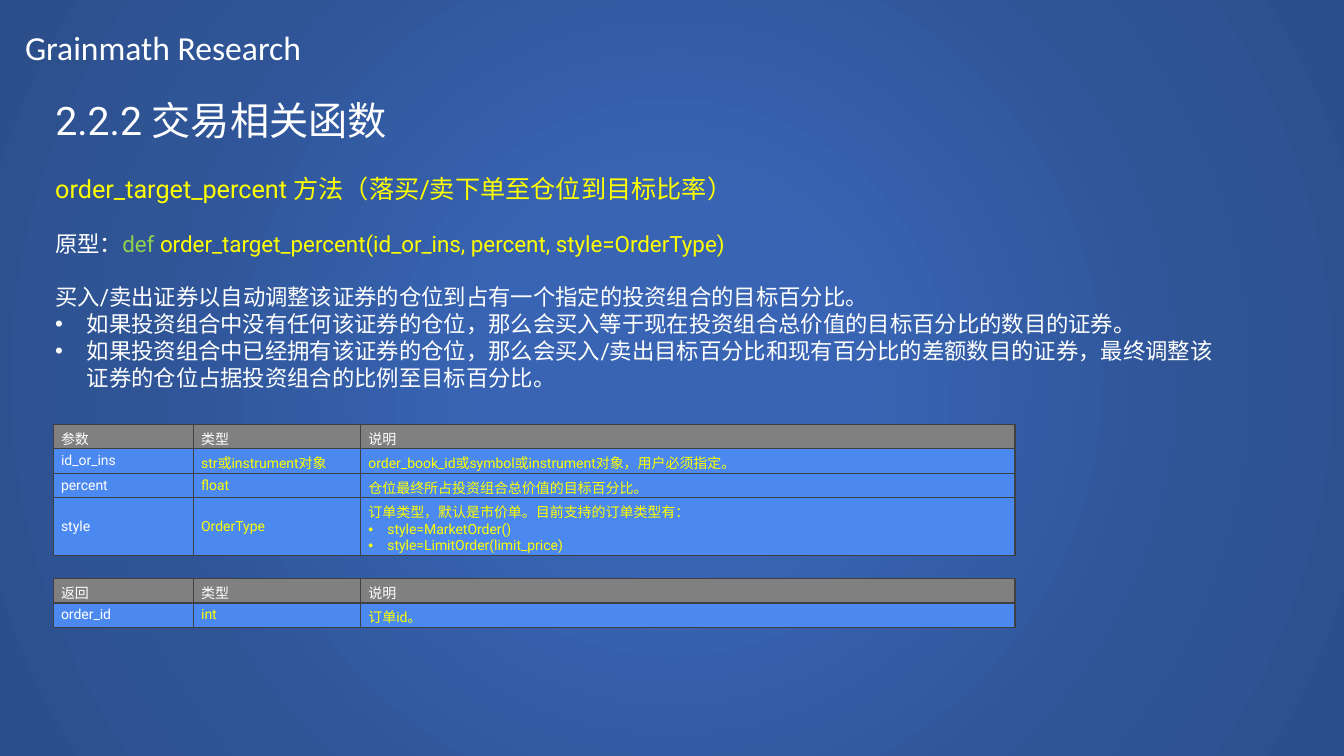
"""Build a slide on a portfolio order function, with parameter and return tables."""
from dataclasses import dataclass

from pptx import Presentation
from pptx.dml.color import RGBColor
from pptx.enum.shapes import MSO_SHAPE as Geom
from pptx.enum.text import MSO_ANCHOR as Anchor, MSO_AUTO_SIZE as Auto, PP_ALIGN as Align
from pptx.oxml import parse_xml
from pptx.oxml.ns import nsdecls
from pptx.slide import Slide
from pptx.table import _Cell as Cell
from pptx.text.text import TextFrame as Frame
from pptx.util import Pt

WHITE, YELLOW, GREEN = "FFFFFF", "FFFF00", "92D050"
GRAY, BLUE, EDGE = "808080", "4B89F0", "404040"
WIDTH, HEIGHT = 960, 540
GLOW = ((0, "3864B3"), (23, "3864B3"), (69, "2F5597"), (97, "2C4F8C"))
COLS = (100.1, 119.5, 467.3)
ROW = 17.4


@dataclass(frozen=True)
class Span:
    text: str
    color: str = WHITE


@dataclass(frozen=True)
class Line:
    spans: tuple[Span, ...]
    size: float = 16
    gap: float = 0
    indent: float = 0
    font: str = "Roboto"


@dataclass(frozen=True)
class Grid:
    top: float
    rows: tuple[tuple[str, str, str], ...]
    heights: tuple[float, ...]


HEADER = (Line((Span("Grainmath Research"),), 24, font="Calibri"),)
TITLE = (Line((Span("2.2.2 交易相关函数"),), 28),)
BODY = (
    Line((Span("order_target_percent 方法（落买/卖下单至仓位到目标比率）", YELLOW),), 18),
    Line((Span("原型："), Span("def ", GREEN),
          Span("order_target_percent(id_or_ins, percent, style=OrderType)", YELLOW)), gap=18.75),
    Line((Span("买入/卖出证券以自动调整该证券的仓位到占有一个指定的投资组合的目标百分比。"),), gap=18.75),
    Line((Span("如果投资组合中没有任何该证券的仓位，那么会买入等于现在投资组合总价值的"
               "目标百分比的数目的证券。"),), indent=22.5),
    Line((Span("如果投资组合中已经拥有该证券的仓位，那么会买入/卖出目标百分比和现有百分比的"
               "差额数目的证券，最终调整该证券的仓位占据投资组合的比例至目标百分比。"),), indent=22.5),
)
GRIDS = (
    Grid(303.1, (
        ("参数", "类型", "说明"),
        ("id_or_ins", "str或instrument对象", "order_book_id或symbol或instrument对象，用户必须指定。"),
        ("percent", "float", "仓位最终所占投资组合总价值的目标百分比。"),
        ("style", "OrderType", "订单类型，默认是市价单。目前支持的订单类型有：\n"
                               "style=MarketOrder()\nstyle=LimitOrder(limit_price)"),
    ), (ROW, ROW, ROW, 41.2)),
    Grid(413.3, (("返回", "类型", "说明"), ("order_id", "int", "订单id。")), (ROW, ROW)),
)


def tint(code: str) -> RGBColor:
    return RGBColor.from_string(code)


def write(frame: Frame, lines: tuple[Line, ...]) -> None:
    frame.text = "\n".join(line.spans[0].text for line in lines)
    for para, line in zip(frame.paragraphs, lines):
        para.alignment = Align.LEFT
        para.space_before = Pt(line.gap)
        for span in line.spans[1:]:
            para.add_run().text = span.text
        for run, span in zip(para.runs, line.spans):
            run.font.name = line.font
            run.font.size = Pt(line.size)
            run.font.color.rgb = tint(span.color)
        if line.indent:
            props = para._p.get_or_add_pPr()
            props.set("marL", str(Pt(line.indent)))
            props.set("indent", str(-Pt(line.indent)))
            props.append(parse_xml(f'<a:buFont {nsdecls("a")} typeface="Arial"/>'))
            props.append(parse_xml(f'<a:buChar {nsdecls("a")} char="•"/>'))


def add_text(slide: Slide, left: float, top: float, width: float, height: float,
             lines: tuple[Line, ...]) -> None:
    box = slide.shapes.add_textbox(Pt(left), Pt(top), Pt(width), Pt(height))
    box.text_frame.word_wrap = True
    write(box.text_frame, lines)


def add_title(slide: Slide) -> None:
    title = slide.shapes.title
    title.left, title.top, title.width, title.height = Pt(32.4), Pt(65.5), Pt(847.5), Pt(50)
    frame = title.text_frame
    frame.auto_size = Auto.NONE
    frame.vertical_anchor = Anchor.TOP
    write(frame, TITLE)


def add_glow(slide: Slide) -> None:
    panel = slide.shapes.add_shape(Geom.RECTANGLE, 0, 0, Pt(WIDTH), Pt(HEIGHT))
    panel.shadow.inherit = False
    panel.line.fill.background()
    panel.fill.background()
    stops = "".join(f'<a:gs pos="{pos * 1000}"><a:srgbClr val="{code}"/></a:gs>'
                    for pos, code in GLOW)
    props = panel._element.spPr
    blank = props.find("{*}noFill")
    props.replace(blank, parse_xml(
        f'<a:gradFill {nsdecls("a")}><a:gsLst>{stops}</a:gsLst><a:path path="circle">'
        '<a:fillToRect l="50000" t="50000" r="50000" b="50000"/></a:path></a:gradFill>'))
    slide.shapes._spTree.insert(2, panel._element)


def fill_cell(cell: Cell, text: str, fill: str, color: str) -> None:
    cell.margin_left = cell.margin_right = Pt(5.4)
    cell.margin_top = cell.margin_bottom = Pt(2.7)
    cell.vertical_anchor = Anchor.MIDDLE
    cell.fill.solid()
    cell.fill.fore_color.rgb = tint(fill)
    write(cell.text_frame, tuple(
        Line((Span(item, color),), 10, indent=13.5 if pos else 0)
        for pos, item in enumerate(text.split("\n"))))
    props = cell._tc.get_or_add_tcPr()
    for pos, side in enumerate("LRTB"):
        props.insert(pos, parse_xml(
            f'<a:ln{side} {nsdecls("a")} w="{Pt(1)}"><a:solidFill>'
            f'<a:srgbClr val="{EDGE}"/></a:solidFill></a:ln{side}>'))


def add_grid(slide: Slide, grid: Grid) -> None:
    table = slide.shapes.add_table(len(grid.rows), len(COLS), Pt(38.2), Pt(grid.top),
                                   Pt(sum(COLS)), Pt(sum(grid.heights))).table
    table.horz_banding = table.first_row = False
    for col, width in zip(table.columns, COLS):
        col.width = Pt(width)
    for row, height in zip(table.rows, grid.heights):
        row.height = Pt(height)
    for y, texts in enumerate(grid.rows):
        for x, text in enumerate(texts):
            fill_cell(table.cell(y, x), text, BLUE if y else GRAY, YELLOW if x and y else WHITE)


def main() -> None:
    deck = Presentation()
    deck.slide_width, deck.slide_height = Pt(WIDTH), Pt(HEIGHT)
    slide = deck.slides.add_slide(deck.slide_layouts[5])
    add_glow(slide)
    add_title(slide)
    add_text(slide, 32.4, 120.5, 847.5, 187.5, BODY)
    add_text(slide, 10.8, 15.8, 363, 36, HEADER)
    for grid in GRIDS:
        add_grid(slide, grid)
    deck.save("out.pptx")


if __name__ == "__main__":
    main()
